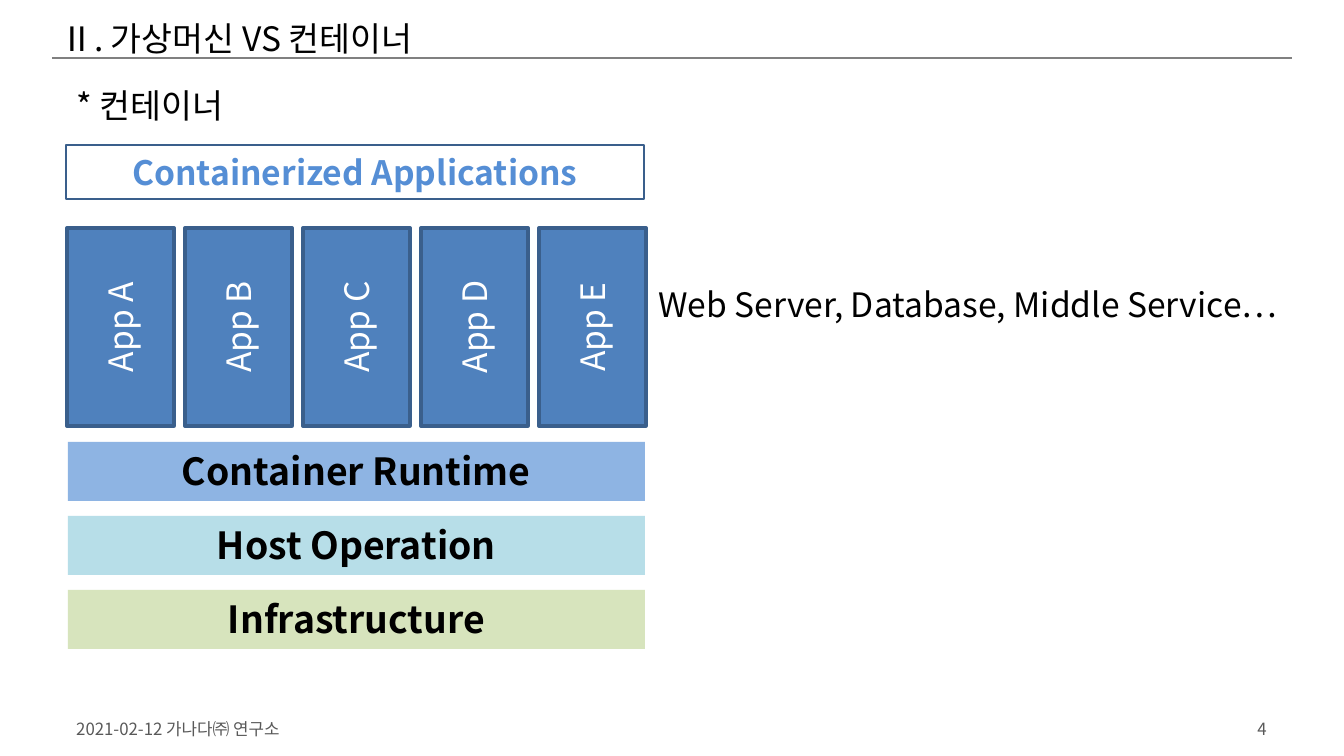
from lxml.etree import SubElement as Sub
from pptx import Presentation
from pptx.dml.color import RGBColor
from pptx.enum.shapes import MSO_CONNECTOR as Conn, MSO_SHAPE as Shape
from pptx.enum.text import MSO_ANCHOR as Anchor, PP_ALIGN as Align
from pptx.oxml.ns import qn
from pptx.util import Pt

FONT = "Noto Sans CJK KR"
BLACK, WHITE, GREY = "000000", "FFFFFF", "595959"
EDGE = "3A5F8C"


def emu(px):
    return round(px * 9144000 / 1344)


def color(code):
    return RGBColor.from_string(code)


class Deck:
    def __init__(self):
        self.prs = Presentation()
        self.prs.slide_width = emu(1344)
        self.prs.slide_height = emu(756)
        self.slide = self.prs.slides.add_slide(self.prs.slide_layouts[5])
        self.shapes = self.slide.shapes

    def label(self, shape, text, size, ink, align=Align.LEFT,
              anchor=Anchor.TOP, bold=False, wrap=True):
        frame = shape.text_frame
        frame.word_wrap = wrap
        frame.vertical_anchor = anchor
        frame.text = text
        para = frame.paragraphs[0]
        para.alignment = align
        font = para.font
        font.name, font.size, font.bold = FONT, Pt(size), bold
        font.color.rgb = color(ink)
        props = para._p.pPr.find(qn("a:defRPr"))
        Sub(props, qn("a:ea"), typeface=FONT)

    def title(self, box, text):
        shape = self.shapes.title
        shape.left, shape.top, shape.width, shape.height = map(emu, box)
        self.label(shape, text, 18, BLACK, wrap=False)

    def text(self, box, text, size=18, ink=BLACK, **style):
        shape = self.shapes.add_textbox(*map(emu, box))
        self.label(shape, text, size, ink, **style)

    def rect(self, box, text, size, ink, fill=None, edge=0, turn=False, **style):
        shape = self.shapes.add_shape(Shape.RECTANGLE, *map(emu, box))
        shape.shadow.inherit = False
        if fill:
            shape.fill.solid()
            shape.fill.fore_color.rgb = color(fill)
        else:
            shape.fill.background()
        if edge:
            shape.line.color.rgb = color(EDGE)
            shape.line.width = Pt(edge)
        else:
            shape.line.fill.background()
        self.label(shape, text, size, ink, align=Align.CENTER, **style)
        if turn:
            shape.text_frame._txBody.bodyPr.set("vert", "vert270")

    def rule(self, left, right, top):
        line = self.shapes.add_connector(
            Conn.STRAIGHT, emu(left), emu(top), emu(right), emu(top))
        line.line.color.rgb = color("808080")
        line.line.width = Pt(1)
        Sub(line._element.spPr, qn("a:effectLst"))


def main():
    deck = Deck()
    deck.title((47, 11, 419, 54), "Ⅱ. 가상머신 VS 컨테이너")
    deck.rule(52, 1292, 58)
    deck.text((63, 78, 306, 54), "* 컨테이너")
    deck.rect((66, 145, 578, 54), "Containerized Applications", 18, "558ED5",
              edge=0.75, bold=True)

    for i, name in enumerate("ABCDE"):
        deck.rect((67 + 118 * i, 228, 107, 198), f"App {name}", 18, WHITE,
                  fill="4F81BD", edge=2, turn=True, anchor=Anchor.MIDDLE)

    layers = [("Container Runtime", "8EB4E3"), ("Host Operation", "B7DEE8"),
              ("Infrastructure", "D7E4BD")]
    for i, (name, fill) in enumerate(layers):
        deck.rect((68, 442 + 74 * i, 577, 59), name, 20, BLACK,
                  fill=fill, bold=True)

    deck.text((645, 277, 669, 54), "Web Server, Database, Middle Service…",
              wrap=False)
    deck.text((63, 715, 376, 27), "2021-02-12 가나다㈜ 연구소", 9, GREY,
              anchor=Anchor.MIDDLE)
    deck.text((904, 715, 376, 27), "4", 9, GREY, align=Align.RIGHT,
              anchor=Anchor.MIDDLE)
    deck.prs.save("out.pptx")


if __name__ == "__main__":
    main()
